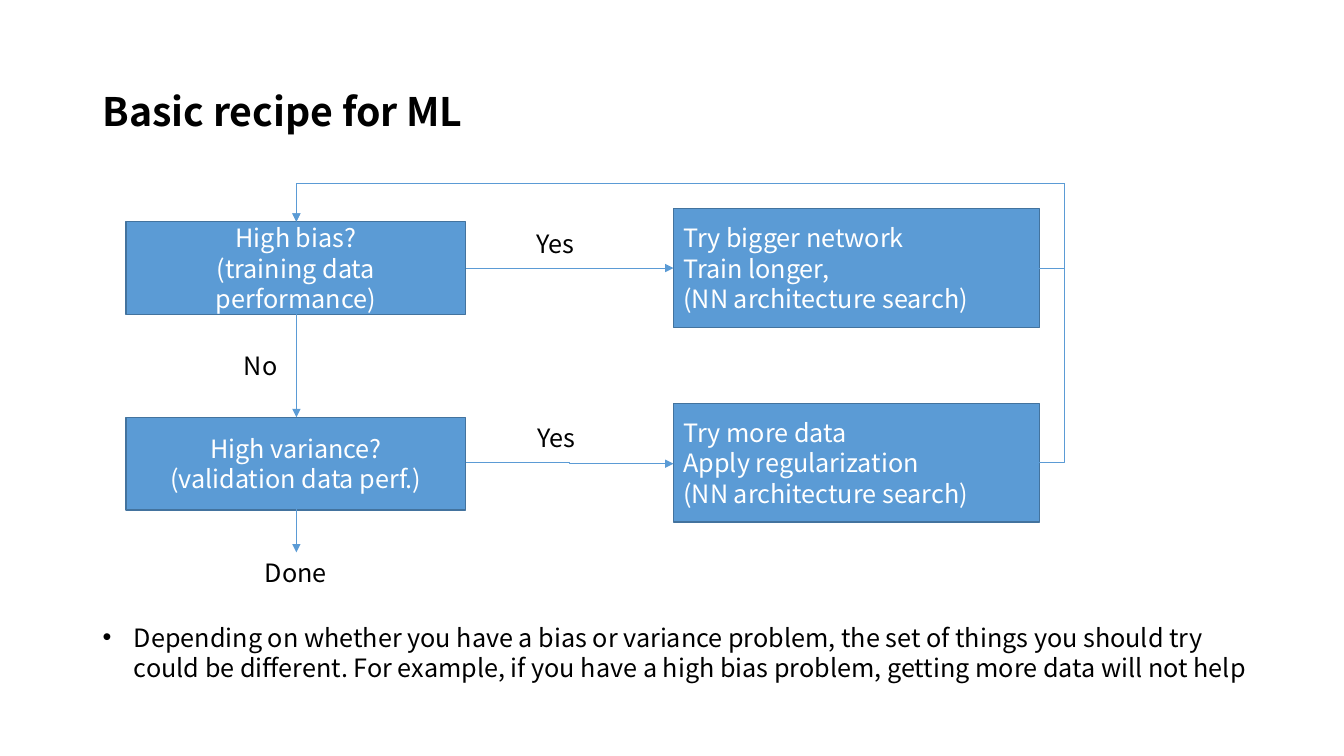
import pptx
import pptx.util
import pptx.dml.color
import pptx.enum.shapes
import pptx.enum.text
import pptx.oxml
import pptx.oxml.ns
import lxml.etree

Inches, Pt = pptx.util.Inches, pptx.util.Pt
Align = pptx.enum.text.PP_ALIGN
Anchor = pptx.enum.text.MSO_ANCHOR
Kind = pptx.enum.shapes.MSO_CONNECTOR
qn = pptx.oxml.ns.qn

COLORS = {"fill": "5B9BD5", "edge": "43739E", "dark": "000000", "light": "FFFFFF"}


class Deck:
    font = "Noto Sans CJK KR"
    size = 18

    def __init__(self, wide, high):
        self.prs = pptx.Presentation()
        self.prs.slide_width, self.prs.slide_height = Inches(wide), Inches(high)
        self.slide = self.prs.slides.add_slide(self.prs.slide_layouts[6])

    def color(self, name):
        return pptx.dml.color.RGBColor.from_string(COLORS[name])

    def label(self, shape, lines, color, align, anchor, size=None, bold=False):
        frame = shape.text_frame
        frame.word_wrap = True
        frame.vertical_anchor = anchor
        for i, line in enumerate(lines):
            para = frame.add_paragraph() if i else frame.paragraphs[0]
            para.alignment = align
            run = para.add_run()
            run.text = line
            run.font.name = self.font
            run.font.size = Pt(size or self.size)
            run.font.bold = bold
            run.font.color.rgb = self.color(color)
        return frame.paragraphs[0]

    def text(self, at, line, align=Align.LEFT, anchor=Anchor.TOP, **style):
        box = self.slide.shapes.add_textbox(*map(Inches, at))
        return self.label(box, [line], "dark", align, anchor, **style)

    def bullet(self, at, line, indent):
        props = self.text(at, line)._p.get_or_add_pPr()
        props.set("marL", str(Inches(indent)))
        props.set("indent", str(-Inches(indent)))
        font = lxml.etree.SubElement(props, qn("a:buFont"))
        font.set("typeface", "Arial")
        lxml.etree.SubElement(props, qn("a:buChar")).set("char", "•")

    def box(self, at, lines, align):
        rect = pptx.enum.shapes.MSO_SHAPE.RECTANGLE
        shape = self.slide.shapes.add_shape(rect, *map(Inches, at))
        shape.shadow.inherit = False
        shape.fill.solid()
        shape.fill.fore_color.rgb = self.color("fill")
        shape.line.color.rgb = self.color("edge")
        shape.line.width = Pt(1)
        self.label(shape, lines, "light", align, Anchor.MIDDLE)

    def arrow(self, start, end, kind=Kind.STRAIGHT, bends=()):
        ends = map(Inches, (*start, *end))
        link = self.slide.shapes.add_connector(kind, *ends)
        link.line.color.rgb = self.color("fill")
        link.line.width = Pt(0.5)
        props = link._element.spPr
        tail = lxml.etree.SubElement(props.find(qn("a:ln")), qn("a:tailEnd"))
        tail.set("type", "triangle")
        lxml.etree.SubElement(props, qn("a:effectLst"))
        if bends:
            geom = props.find(qn("a:prstGeom"))
            geom.set("prst", "bentConnector4")
            guides = geom.find(qn("a:avLst"))
            if guides is None:
                guides = lxml.etree.SubElement(geom, qn("a:avLst"))
            for i, bend in enumerate(bends, 1):
                guide = lxml.etree.SubElement(guides, qn("a:gd"))
                guide.set("name", f"adj{i}")
                guide.set("fmla", f"val {round(bend * 100000)}")


def main():
    deck = Deck(13.33, 7.5)

    # Title
    title = deck.text((0.92, 0.4, 11.5, 1.45), "Basic recipe for ML",
                      anchor=Anchor.MIDDLE, size=28, bold=True)
    title.line_spacing = 0.9

    # Questions on the left, remedies on the right
    left, wide, high = 1.25, 3.37, 0.92
    fix, span, tall = 6.68, 3.63, 1.18
    mid, edge, right = 2.94, left + wide, fix + span
    top, rail, turn = 2.2, 1.82, 10.56
    search = "(NN architecture search)"
    rows = [
        (top, 2.07, 2.66, 2.66, ["High bias?", "(training data performance)"],
         ["Try bigger network", "Train longer,", search]),
        (4.14, 4, 4.59, 4.6, ["High variance?", "(validation data perf.)"],
         ["Try more data", "Apply regularization", search]),
    ]
    for ask, cure, out, into, query, advice in rows:
        deck.box((left, ask, wide, high), query, Align.CENTER)
        deck.box((fix, cure, span, tall), advice, Align.LEFT)
        deck.arrow((edge, out), (fix, into), Kind.ELBOW)
        # Loop back to the first question
        bends = (right - turn) / (right - mid), (out - rail) / (out - top)
        deck.arrow((right, out), (mid, top), Kind.ELBOW, bends)

    # Downward flow
    for start, end in ((3.12, 4.14), (5.04, 5.48)):
        deck.arrow((mid, start), (mid, end))

    # Flow labels
    for x, y, word in ((5, 2.22, "Yes"), (5.01, 4.14, "Yes"),
                       (2.08, 3.43, "No"), (2.43, 5.48, "Done")):
        deck.text((x, y, 1.01, 0.4), word, Align.CENTER)

    # Takeaway
    deck.bullet((0.92, 6.12, 11.7, 0.71),
                "Depending on whether you have a bias or variance problem, "
                "the set of things you should try could be different. "
                "For example, if you have a high bias problem, "
                "getting more data will not help", 0.31)

    deck.prs.save("out.pptx")


if __name__ == "__main__":
    main()
